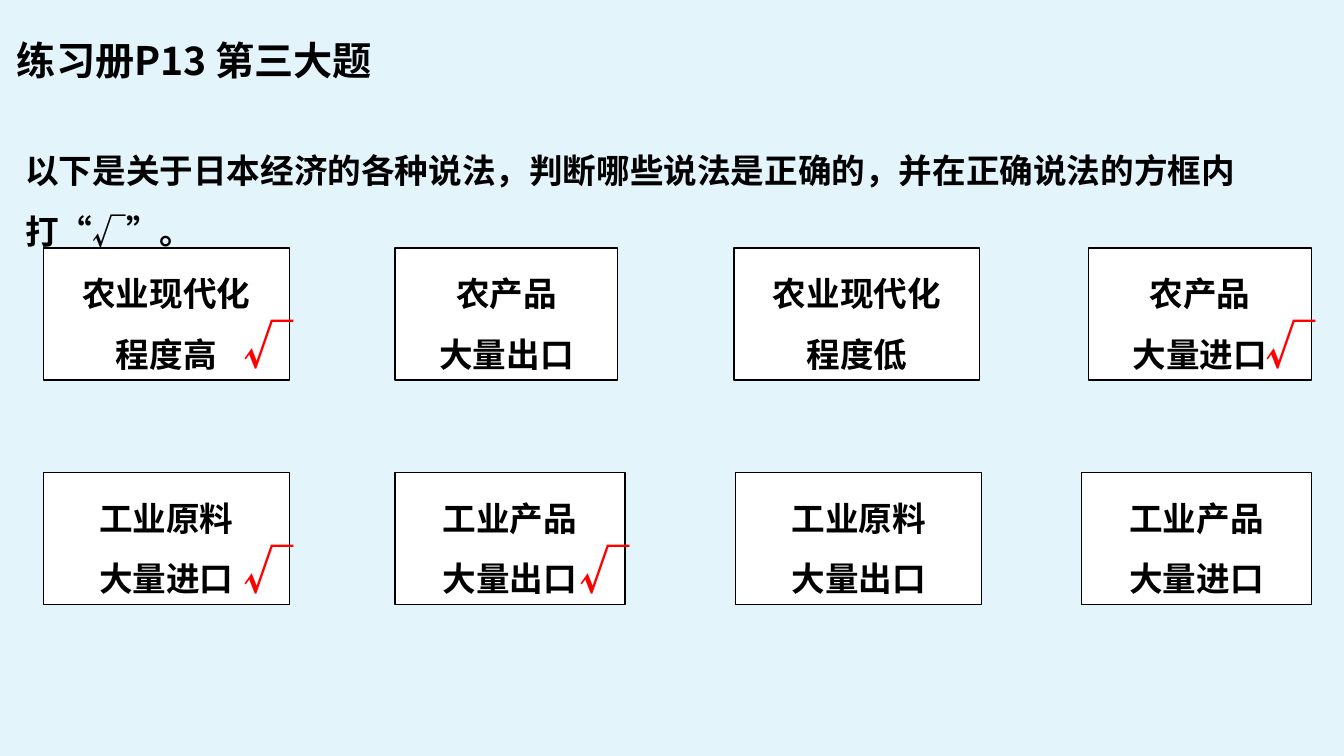
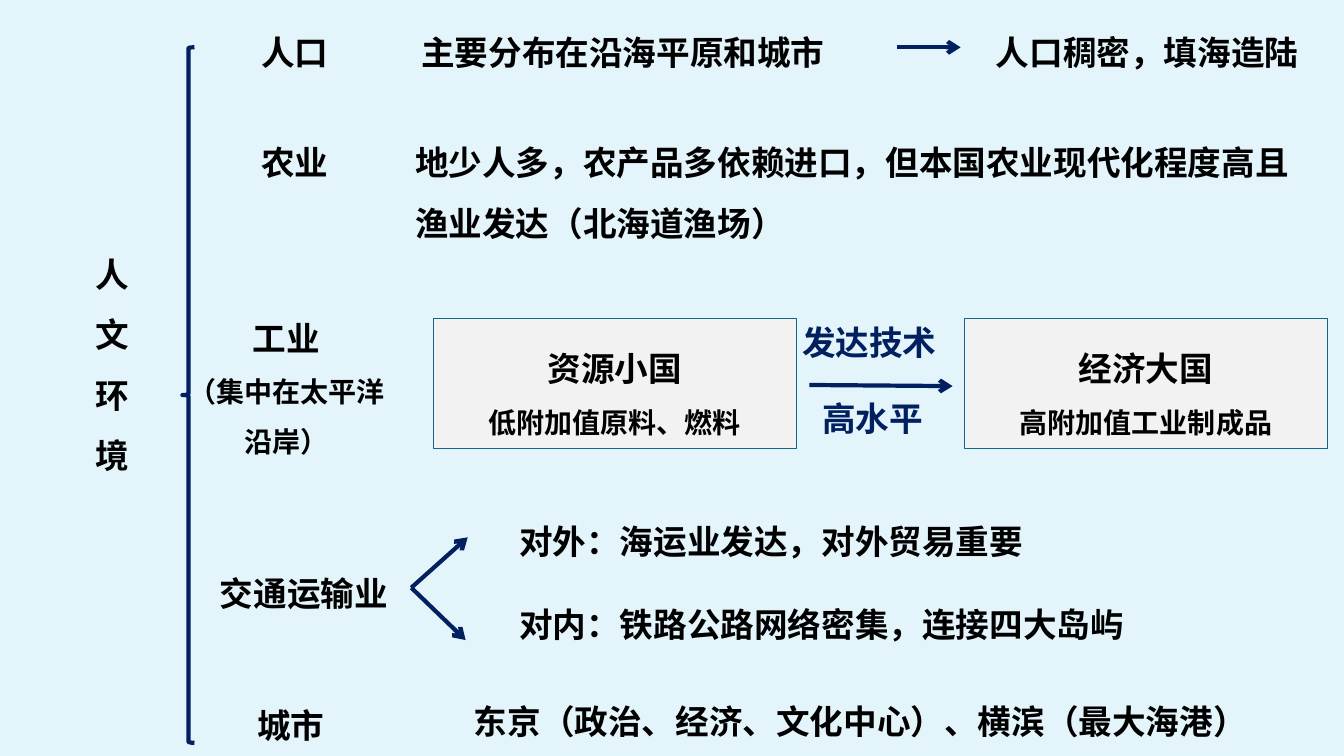
from dataclasses import dataclass

from lxml.etree import SubElement
from pptx import Presentation
from pptx.dml.color import RGBColor
from pptx.enum.shapes import MSO_CONNECTOR as Connector, MSO_SHAPE as Preset
from pptx.enum.text import MSO_ANCHOR as Anchor, MSO_AUTO_SIZE as AutoSize, PP_ALIGN as Align
from pptx.oxml.ns import qn
from pptx.util import Pt

# Shared style
SKY = RGBColor(0xE4, 0xF4, 0xFB)
BLACK = RGBColor(0, 0, 0)
WHITE = RGBColor(0xFF, 0xFF, 0xFF)
RED = RGBColor(0xFF, 0, 0)
NAVY = RGBColor(0, 0x20, 0x60)
GREY = RGBColor(0xF2, 0xF2, 0xF2)
TEAL = RGBColor(0x14, 0x65, 0x8E)
LATIN, CJK = "Arial", "Noto Sans CJK SC"
BODY, SMALL = 24, 20
LINE_HEIGHT = 51.1
CARD_HEIGHT = 94.3
CHECK_WIDTH, CHECK_HEIGHT = 39.6, 50.6


@dataclass(frozen=True)
class Box:
    left: float
    top: float
    width: float
    height: float = LINE_HEIGHT

    def lengths(self):
        return Pt(self.left), Pt(self.top), Pt(self.width), Pt(self.height)


@dataclass(frozen=True)
class Line:
    text: str
    size: float = BODY


@dataclass(frozen=True)
class Label:
    box: Box
    lines: tuple[Line, ...]
    align: Align = Align.CENTER
    wrap: bool = True
    color: RGBColor = BLACK
    font: str = LATIN
    spacing: float = 1.5


@dataclass(frozen=True)
class Card:
    left: float
    top: float
    width: float
    lines: tuple[str, str]
    correct: bool = False


@dataclass(frozen=True)
class Arrow:
    start: tuple[float, float]
    end: tuple[float, float]


def write_text(shape, label: Label) -> None:
    frame = shape.text_frame
    frame.word_wrap = label.wrap
    for index, line in enumerate(label.lines):
        paragraph = frame.add_paragraph() if index else frame.paragraphs[0]
        paragraph.alignment = label.align
        paragraph.line_spacing = label.spacing
        run = paragraph.add_run()
        run.text = line.text
        run.font.size = Pt(line.size)
        run.font.bold = True
        run.font.name = label.font
        run.font.color.rgb = label.color
        SubElement(run.font._element, qn("a:ea"), typeface=CJK)


def add_label(slide, label: Label) -> None:
    shape = slide.shapes.add_textbox(*label.box.lengths())
    write_text(shape, label)
    shape.text_frame.auto_size = AutoSize.SHAPE_TO_FIT_TEXT


def add_panel(slide, label: Label, fill: RGBColor, outline: RGBColor, anchor: Anchor) -> None:
    shape = slide.shapes.add_shape(Preset.RECTANGLE, *label.box.lengths())
    shape.shadow.inherit = False
    shape.fill.solid()
    shape.fill.fore_color.rgb = fill
    shape.line.color.rgb = outline
    shape.line.width = Pt(1)
    write_text(shape, label)
    shape.text_frame.vertical_anchor = anchor


def add_card(slide, card: Card) -> None:
    box = Box(card.left, card.top, card.width, CARD_HEIGHT)
    lines = tuple(Line(text) for text in card.lines)
    add_panel(slide, Label(box, lines), WHITE, BLACK, Anchor.TOP)
    if card.correct:
        corner = Box(card.left + card.width - CHECK_WIDTH,
                     card.top + CARD_HEIGHT - CHECK_HEIGHT, CHECK_WIDTH, CHECK_HEIGHT)
        add_label(slide, Label(corner, (Line("√", 36),), Align.LEFT, False, RED, CJK, 1.0))


def add_arrow(slide, arrow: Arrow) -> None:
    points = [Pt(value) for value in (*arrow.start, *arrow.end)]
    connector = slide.shapes.add_connector(Connector.STRAIGHT, *points)
    connector.line.color.rgb = NAVY
    connector.line.width = Pt(3)
    SubElement(connector.line._get_or_add_ln(), qn("a:tailEnd"), type="arrow")
    SubElement(connector._element.spPr, qn("a:effectLst"))


def add_brace(slide, box: Box) -> None:
    brace = slide.shapes.add_shape(Preset.LEFT_BRACE, *box.lengths())
    brace.shadow.inherit = False
    brace.fill.background()
    brace.line.color.rgb = NAVY
    brace.line.width = Pt(3)


def build_exercise(slide) -> None:
    # Title and instruction
    add_label(slide, Label(Box(5, 22.3, 434, 41), (Line("练习册P13 第三大题", 28),),
                           Align.LEFT, font=CJK, spacing=1.0))
    add_label(slide, Label(
        Box(11, 89.3, 949),
        (Line("以下是关于日本经济的各种说法，判断哪些说法是正确的，并在正确说法的方框内打“√”。"),),
        Align.LEFT))

    # Statement cards, with a tick on the correct ones
    upper, lower = 177.1, 337.7
    for card in (
        Card(31, upper, 175.7, ("农业现代化", "程度高"), True),
        Card(282.2, upper, 159.1, ("农产品", "大量出口")),
        Card(524.2, upper, 175.7, ("农业现代化", "程度低")),
        Card(777.6, upper, 159.1, ("农产品", "大量进口"), True),
        Card(31, lower, 175.7, ("工业原料", "大量进口"), True),
        Card(282.2, lower, 164.2, ("工业产品", "大量出口"), True),
        Card(525.6, lower, 175.7, ("工业原料", "大量出口")),
        Card(772.6, lower, 164.2, ("工业产品", "大量进口")),
    ):
        add_card(slide, card)


def build_summary(slide) -> None:
    # Root topic and brace
    add_label(slide, Label(Box(61.2, 163.4, 25.2, 181.4), (Line("人文环境"),), Align.LEFT))
    add_brace(slide, Box(130.3, 33.8, 8.6, 496.8))

    # Branch names
    for box, text in (
        (Box(154.8, 5, 111.6), "人口"),
        (Box(154.8, 83.5, 111.6), "农业"),
        (Box(139.7, 391, 154.8), "交通运输业"),
        (Box(130.3, 485.3, 154.8), "城市"),
    ):
        add_label(slide, Label(box, (Line(text),)))
    add_label(slide, Label(Box(119.5, 208.8, 169.9, 123.8),
                           (Line("工业"), Line("（集中在太平洋沿岸）", SMALL))))

    # Branch details
    for box, text in (
        (Box(293.8, 5, 302.4), "主要分布在沿海平原和城市"),
        (Box(704.2, 5, 230.4), "人口稠密，填海造陆"),
        (Box(363.6, 354.2, 374.4), "对外：海运业发达，对外贸易重要"),
        (Box(363.6, 413.3, 446.4), "对内：铁路公路网络密集，连接四大岛屿"),
        (Box(331.2, 482.4, 566.6), "东京（政治、经济、文化中心）、横滨（最大海港）"),
    ):
        add_label(slide, Label(box, (Line(text),), wrap=False))
    add_label(slide, Label(
        Box(289.4, 83.5, 654.5, 94.3),
        (Line("地少人多，农产品多依赖进口，但本国农业现代化程度高且渔业发达（北海道渔场）"),),
        Align.LEFT))

    # Industry panels and the words around their arrow
    for left, heading, detail in (
        (309.6, "资源小国", "低附加值原料、燃料"),
        (689, "经济大国", "高附加值工业制成品"),
    ):
        label = Label(Box(left, 227.5, 259.2, 92.9), (Line(heading), Line(detail, SMALL)))
        add_panel(slide, label, GREY, TEAL, Anchor.MIDDLE)
    for box, text in (
        (Box(565.9, 226.1, 110.2, 36), "发达技术"),
        (Box(580.3, 280.8, 86.4, 36), "高水平"),
    ):
        add_label(slide, Label(box, (Line(text),), Align.LEFT, False, NAVY, spacing=1.0))

    # Arrows
    fork = (293.8, 419.8)
    for arrow in (
        Arrow((640.8, 33.8), (686.2, 33.8)),
        Arrow((578.2, 275), (680.4, 275.8)),
        Arrow(fork, (334.1, 383.8)),
        Arrow(fork, (332.6, 457.2)),
    ):
        add_arrow(slide, arrow)


def main() -> None:
    presentation = Presentation()
    presentation.slide_width, presentation.slide_height = Pt(960), Pt(540)
    background = presentation.slide_master.background.fill
    background.solid()
    background.fore_color.rgb = SKY
    blank = presentation.slide_layouts[6]
    for build in (build_exercise, build_summary):
        build(presentation.slides.add_slide(blank))
    presentation.save("out.pptx")


if __name__ == "__main__":
    main()
